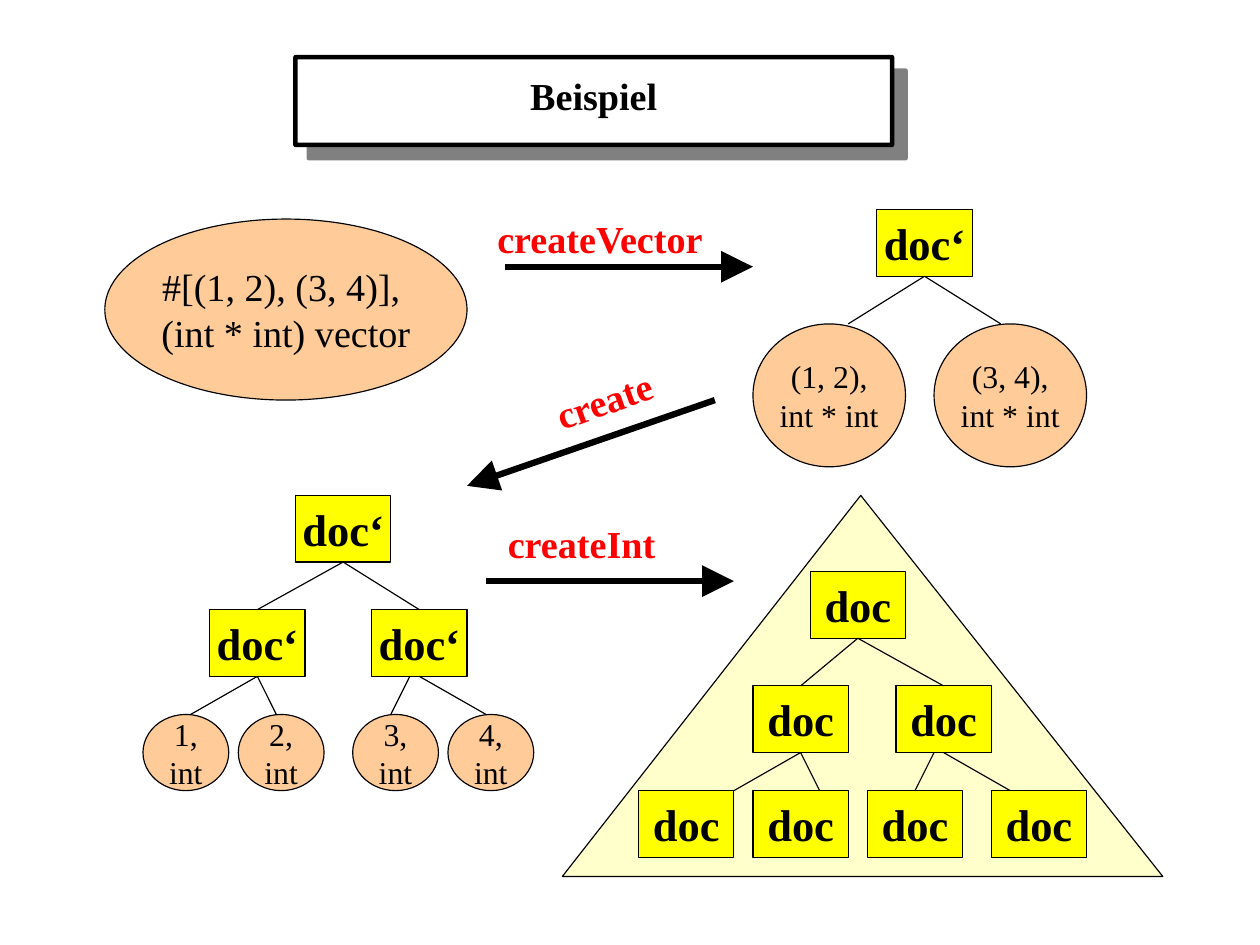
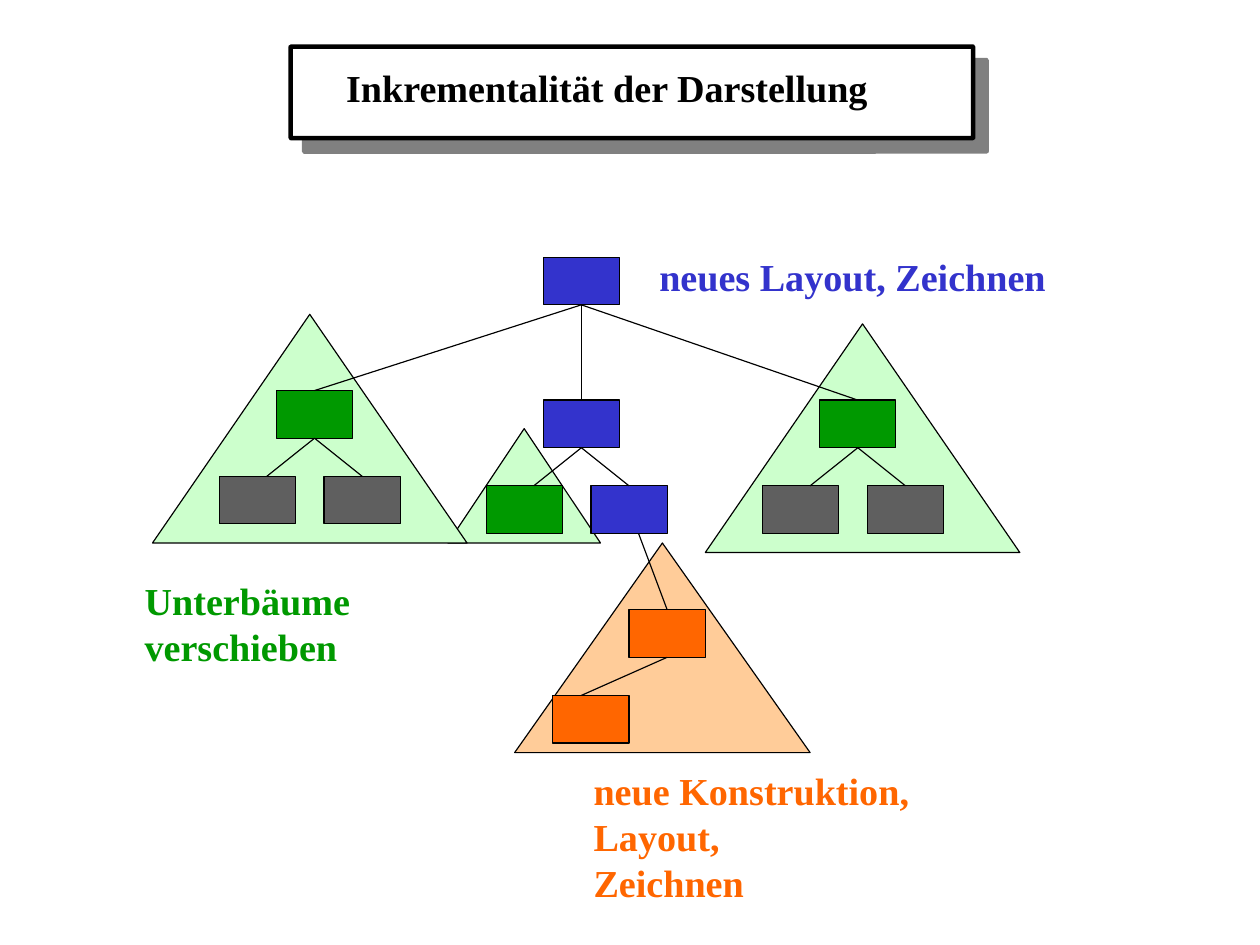
from dataclasses import dataclass
from typing import NamedTuple

from lxml.etree import SubElement
from pptx import Presentation
from pptx.dml.color import RGBColor
from pptx.enum.shapes import MSO_CONNECTOR, MSO_SHAPE as Preset
from pptx.enum.text import MSO_ANCHOR as Anchor, PP_ALIGN as Align
from pptx.oxml.ns import qn
from pptx.util import Pt


@dataclass(frozen=True)
class Theme:
    """Colours, type sizes and line widths of the deck."""
    font: str = "Times New Roman"
    black: str = "000000"
    white: str = "FFFFFF"
    shade: str = "808080"
    red: str = "FF0000"
    yellow: str = "FFFF00"
    cream: str = "FFFFCC"
    peach: str = "FFCC99"
    mint: str = "CCFFCC"
    blue: str = "3333CC"
    green: str = "009900"
    gray: str = "5F5F5F"
    orange: str = "FF6600"
    label: int = 24
    doc: int = 28
    value: int = 20
    hairline: float = 0.75
    frame: float = 2.83
    arrow: float = 4
    title_spacing: float = 0.93


class Box(NamedTuple):
    """A place on the slide in px."""
    left: int
    top: int
    width: int
    height: int


class Style(NamedTuple):
    """The look of one kind of tree node."""
    preset: Preset
    width: int
    height: int
    fill: str
    size: int = 0
    bold: bool = False


@dataclass(frozen=True)
class Node:
    """A tree node, placed relative to its region."""
    style: Style
    x: int
    y: int
    text: str = ""
    children: tuple = ()
    parent_shift: int = 0
    child_shift: int = 0


THEME = Theme()
EMU_PER_PX = 7620
SLIDE_WIDTH, SLIDE_HEIGHT = 1322, 992
BOTTOM, TOP = 2, 0

DOC = Style(Preset.RECTANGLE, 100, 70, THEME.yellow, THEME.doc, True)
VECTOR = Style(Preset.OVAL, 380, 190, THEME.peach, THEME.label)
PAIR = Style(Preset.OVAL, 160, 150, THEME.peach, THEME.value)
NUMBER = Style(Preset.OVAL, 90, 80, THEME.peach, THEME.value)
CHANGED, MOVED, LEAF, CREATED = (
    Style(Preset.RECTANGLE, 80, 50, fill)
    for fill in (THEME.blue, THEME.green, THEME.gray, THEME.orange))


def px(*lengths):
    """Turn px into EMU."""
    return [round(length * EMU_PER_PX) for length in lengths]


def write(frame, text, size, color, bold=True, align=Align.LEFT):
    """Fill a text frame with equally styled paragraphs."""
    frame.text = text
    for paragraph in frame.paragraphs:
        paragraph.alignment = align
        font = paragraph.font
        font.name, font.size, font.bold = THEME.font, Pt(size), bold
        font.color.rgb = RGBColor.from_string(color)


def add_figure(slide, preset, box, fill, width=THEME.hairline):
    """Add a filled, outlined preset shape."""
    figure = slide.shapes.add_shape(preset, *px(*box))
    figure.shadow.inherit = False
    figure.fill.solid()
    figure.fill.fore_color.rgb = RGBColor.from_string(fill)
    figure.line.color.rgb = RGBColor.from_string(THEME.black)
    figure.line.width = Pt(width)
    return figure


def add_line(slide, start, end, width=THEME.hairline, head=False):
    """Add a straight line, with an arrowhead at its end if asked."""
    line = slide.shapes.add_connector(MSO_CONNECTOR.STRAIGHT, *px(*start, *end))
    line.line.color.rgb = RGBColor.from_string(THEME.black)
    line.line.width = Pt(width)
    properties = line.element.spPr
    if head:
        SubElement(properties.find(qn("a:ln")), qn("a:tailEnd"),
                   type="triangle", w="lg", len="lg")
    SubElement(properties, qn("a:effectLst"))
    return line


def add_title(slide, box, text, align=Align.CENTER, indent=0):
    """Add the framed title with its hard shadow."""
    title = add_figure(slide, Preset.ROUNDED_RECTANGLE, box, THEME.white, THEME.frame)
    title.adjustments[0] = 0.002
    shadow = SubElement(title.element.spPr.find(qn("a:effectLst")), qn("a:outerShdw"),
                        blurRad="0", dist=str(Pt(12)), dir="2700000",
                        algn="tl", rotWithShape="0")
    SubElement(shadow, qn("a:srgbClr"), val=THEME.shade)
    frame = title.text_frame
    frame.word_wrap = True
    frame.vertical_anchor = Anchor.MIDDLE
    frame.margin_left, frame.margin_top, frame.margin_right, frame.margin_bottom = px(
        indent, 0, 0, 6)
    write(frame, text, THEME.label, THEME.black, align=align)
    frame.paragraphs[0].line_spacing = THEME.title_spacing


def add_label(slide, box, text, color, rotation=0):
    """Add a bold label without a frame."""
    label = slide.shapes.add_textbox(*px(*box))
    label.rotation = rotation
    label.text_frame.word_wrap = False
    write(label.text_frame, text, THEME.label, color)


def add_tree(slide, region, node):
    """Draw a node, its subtrees and the edges to them."""
    style = node.style
    left, top = region.left + node.x, region.top + node.y
    parent = add_figure(slide, style.preset, Box(left, top, style.width, style.height), style.fill)
    if node.text:
        frame = parent.text_frame
        frame.word_wrap = False
        frame.vertical_anchor = Anchor.MIDDLE
        write(frame, node.text, style.size, THEME.black, style.bold, Align.CENTER)
    for child in node.children:
        subtree = add_tree(slide, region, child)
        start = left + style.width // 2 + child.parent_shift, top + style.height
        end = (region.left + child.x + child.style.width // 2 + child.child_shift,
               region.top + child.y)
        edge = add_line(slide, start, end)
        if not child.parent_shift:
            edge.begin_connect(parent, BOTTOM)
        if not child.child_shift:
            edge.end_connect(subtree, TOP)
    return parent


def add_vector_tree(slide, region):
    """Draw the vector split into its two pairs."""
    add_tree(slide, region, Node(DOC, 130, 0, "doc‘", (
        Node(PAIR, 0, 120, "(1, 2),\nint * int", child_shift=20),
        Node(PAIR, 190, 120, "(3, 4),\nint * int", child_shift=-10))))


def add_pair_tree(slide, region):
    """Draw the pairs split into their numbers."""
    add_tree(slide, region, Node(DOC, 160, 0, "doc‘", (
        Node(DOC, 70, 120, "doc‘", (
            Node(NUMBER, 0, 230, "1,\nint", child_shift=5),
            Node(NUMBER, 100, 230, "2,\nint", child_shift=-5))),
        Node(DOC, 240, 120, "doc‘", (
            Node(NUMBER, 220, 230, "3,\nint", parent_shift=-10, child_shift=-5),
            Node(NUMBER, 320, 230, "4,\nint", child_shift=-5))))))


def add_doc_tree(slide, region):
    """Draw the finished document tree inside its triangle."""
    triangle = add_figure(slide, Preset.ISOSCELES_TRIANGLE, region, THEME.cream)
    triangle.adjustments[0] = 0.497
    add_tree(slide, region, Node(DOC, 260, 80, "doc", (
        Node(DOC, 200, 200, "doc", (
            Node(DOC, 80, 310, "doc", child_shift=50),
            Node(DOC, 200, 310, "doc", child_shift=20))),
        Node(DOC, 350, 200, "doc", (
            Node(DOC, 320, 310, "doc", parent_shift=-10),
            Node(DOC, 450, 310, "doc", child_shift=-30))))))


def fork(style, x, y, left_style, right_style, grandchildren=()):
    """Return a node with a left and a right child."""
    return Node(style, x, y, children=(
        Node(left_style, x - 60, y + 90, child_shift=10),
        Node(right_style, x + 50, y + 90, children=grandchildren)))


def add_update_tree(slide, region):
    """Draw the tree of changed, moved and created boxes over its triangles."""
    for x, y, width, height, fill in ((380, 300, 310, 220, THEME.peach),
                                      (580, 70, 330, 240, THEME.mint),
                                      (310, 180, 160, 120, THEME.mint),
                                      (0, 60, 330, 240, THEME.mint)):
        box = Box(region.left + x, region.top + y, width, height)
        add_figure(slide, Preset.FLOWCHART_EXTRACT, box, fill)
    created = Node(CREATED, 500, 370, parent_shift=10, children=(
        Node(CREATED, 420, 460, child_shift=-10),))
    add_tree(slide, region, Node(CHANGED, 410, 0, children=(
        fork(MOVED, 130, 140, LEAF, LEAF),
        fork(CHANGED, 410, 150, MOVED, CHANGED, (created,)),
        fork(MOVED, 700, 150, LEAF, LEAF))))


def build_example(slide):
    """Build the slide with the steps from vector to document."""
    add_title(slide, Box(310, 60, 626, 92), "Beispiel")
    add_tree(slide, Box(110, 230, 380, 190),
             Node(VECTOR, 0, 0, "#[(1, 2), (3, 4)], \n(int * int) vector"))
    add_vector_tree(slide, Box(790, 220, 350, 270))
    add_pair_tree(slide, Box(150, 520, 410, 310))
    add_doc_tree(slide, Box(590, 520, 630, 400))
    for text, box, rotation, start, end in (
            ("createVector", Box(510, 220, 244, 60), 0, (530, 280), (790, 280)),
            ("create", Box(570, 390, 128, 60), -19.5, (750, 420), (490, 510)),
            ("createInt", Box(521, 540, 179, 60), 0, (510, 610), (770, 610))):
        add_line(slide, start, end, THEME.arrow, head=True)
        add_label(slide, box, text, THEME.red, rotation)


def build_incremental(slide):
    """Build the slide on incremental display."""
    add_title(slide, Box(305, 49, 716, 96), "Inkrementalität der Darstellung",
              Align.LEFT, indent=58)
    add_update_tree(slide, Box(160, 270, 910, 520))
    add_label(slide, Box(680, 260, 430, 60), "neues Layout, Zeichnen", THEME.blue)
    add_label(slide, Box(140, 600, 451, 60), "Unterbäume verschieben", THEME.green)
    add_label(slide, Box(611, 800, 355, 156),
              "neue Konstruktion,\nLayout,\nZeichnen", THEME.orange)


def main():
    """Build and save the deck."""
    deck = Presentation()
    deck.slide_width, deck.slide_height = px(SLIDE_WIDTH, SLIDE_HEIGHT)
    for build in (build_example, build_incremental):
        build(deck.slides.add_slide(deck.slide_layouts[6]))
    deck.save("out.pptx")


if __name__ == "__main__":
    main()
